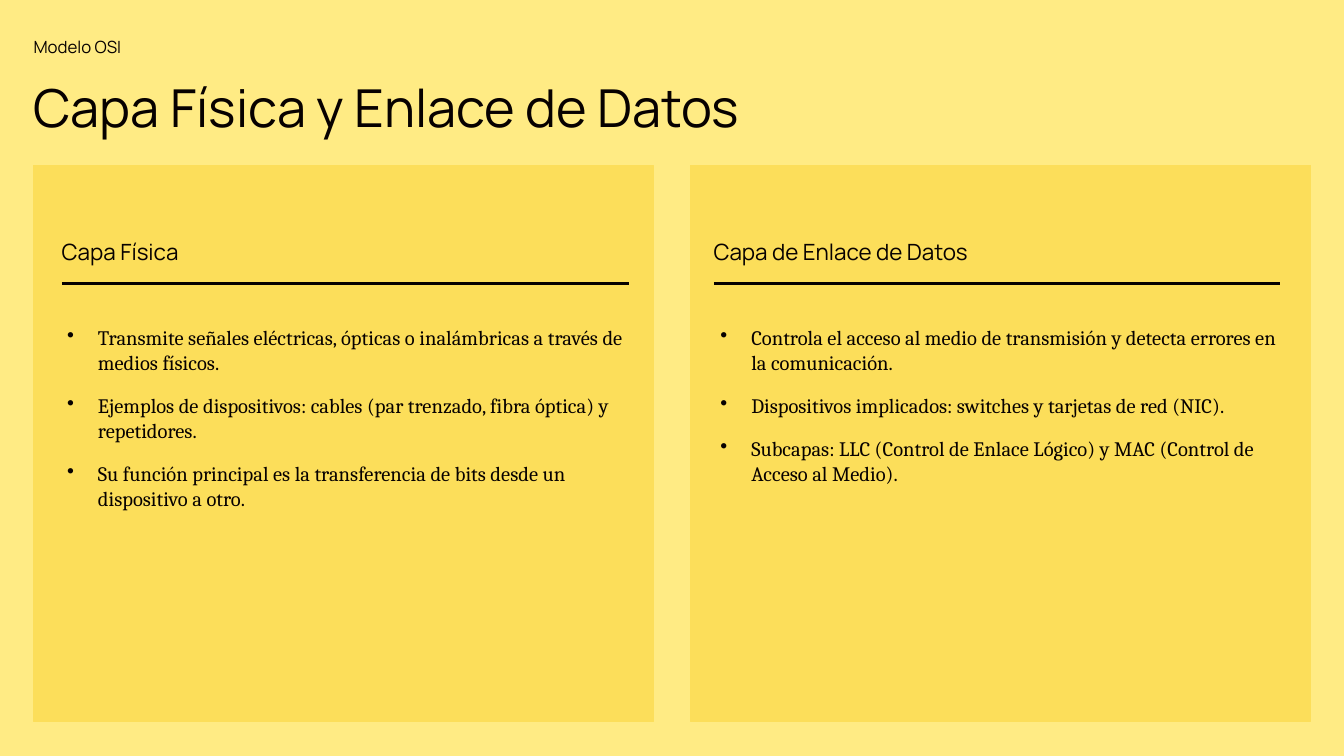
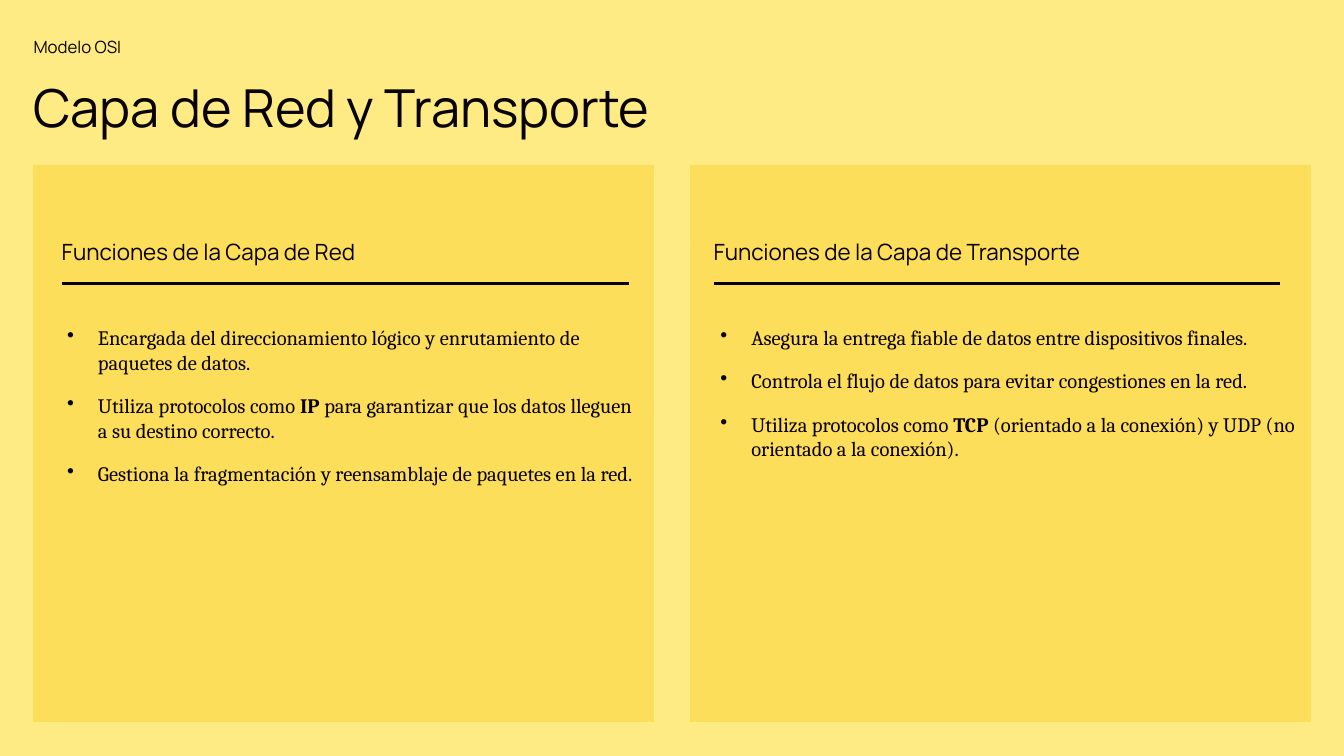
from lxml.etree import SubElement
from pptx import Presentation
from pptx.dml.color import RGBColor
from pptx.enum.shapes import MSO_CONNECTOR, MSO_SHAPE
from pptx.enum.text import MSO_ANCHOR, MSO_AUTO_SIZE, PP_ALIGN
from pptx.oxml.ns import qn
from pptx.util import Pt

# Content: each bullet is a list of (text, bold) spans
SECTION = "Modelo OSI"
SLIDES = [
    ("Capa Física y Enlace de Datos", [
        ("Capa Física", [
            [("Transmite señales eléctricas, ópticas o inalámbricas a través de medios físicos.", False)],
            [("Ejemplos de dispositivos: cables (par trenzado, fibra óptica) y repetidores.", False)],
            [("Su función principal es la transferencia de bits desde un dispositivo a otro.", False)],
        ]),
        ("Capa de Enlace de Datos", [
            [("Controla el acceso al medio de transmisión y detecta errores en la comunicación.", False)],
            [("Dispositivos implicados: switches y tarjetas de red (NIC).", False)],
            [("Subcapas: LLC (Control de Enlace Lógico) y MAC (Control de Acceso al Medio).", False)],
        ]),
    ]),
    ("Capa de Red y Transporte", [
        ("Funciones de la Capa de Red", [
            [("Encargada del direccionamiento lógico y enrutamiento de paquetes de datos.", False)],
            [("Utiliza protocolos como ", False), ("IP ", True),
             ("para garantizar que los datos lleguen a su destino correcto.", False)],
            [("Gestiona la fragmentación y reensamblaje de paquetes en la red.", False)],
        ]),
        ("Funciones de la Capa de Transporte", [
            [("Asegura la entrega fiable de datos entre dispositivos finales.", False)],
            [("Controla el flujo de datos para evitar congestiones en la red.", False)],
            [("Utiliza protocolos como ", False), ("TCP ", True),
             ("(orientado a la conexión) y UDP (no orientado a la conexión).", False)],
        ]),
    ]),
]

# Shared style
BACKGROUND = RGBColor(0xFF, 0xEB, 0x84)
PANEL = RGBColor(0xFC, 0xDE, 0x5A)
INK = RGBColor(0x07, 0x01, 0x00)
HEADING_FONT, BODY_FONT = "Manrope", "Cambria"
MARGIN, INSET = 18, 7.2
PANEL_TOP, PANEL_WIDTH, PANEL_HEIGHT = 88.5, 332, 298
RULE_TOP, RULE_WIDTH = 152, 303.5
HANG = 16.5

# Left edges of the parts in each column
COLUMNS = [
    {"panel": MARGIN, "heading": 26, "body": MARGIN},
    {"panel": 370, "heading": 375.2, "body": 368},
]


def set_frame(box, left_inset=INSET, anchor=MSO_ANCHOR.TOP):
    frame = box.text_frame
    frame.word_wrap = True
    frame.auto_size = MSO_AUTO_SIZE.NONE
    frame.vertical_anchor = anchor
    frame.margin_left = Pt(left_inset)
    frame.margin_top = frame.margin_right = frame.margin_bottom = Pt(INSET)
    return frame


def add_box(page, left, top, width, height, **options):
    box = page.shapes.add_textbox(Pt(left), Pt(top), Pt(width), Pt(height))
    return set_frame(box, **options)


def add_span(para, text, size, font=HEADING_FONT, bold=False):
    span = para.add_run()
    span.text = text
    span.font.name, span.font.size, span.font.bold = font, Pt(size), bold
    span.font.color.rgb = INK


def make_bullet(para):
    properties = para._p.get_or_add_pPr()
    properties.set("marL", str(Pt(27.4)))
    properties.set("indent", str(-Pt(HANG)))
    color = SubElement(properties, qn("a:buClr"))
    SubElement(color, qn("a:srgbClr"), val=str(INK))
    SubElement(properties, qn("a:buChar"), char="•")


def add_title(page, text):
    title = page.shapes.title
    title.left, title.top, title.width, title.height = Pt(MARGIN), Pt(41), Pt(683.5), Pt(45.4)
    frame = set_frame(title, left_inset=0)
    frame.margin_right = 0
    para = frame.paragraphs[0]
    para.alignment = PP_ALIGN.LEFT
    para.line_spacing = 0.75
    add_span(para, text, 28)


def add_panel(page, left):
    panel = page.shapes.add_shape(MSO_SHAPE.RECTANGLE, Pt(left), Pt(PANEL_TOP),
                                  Pt(PANEL_WIDTH), Pt(PANEL_HEIGHT))
    panel.shadow.inherit = False
    panel.fill.solid()
    panel.fill.fore_color.rgb = PANEL
    panel.line.color.rgb = PANEL
    panel.line.width = Pt(0.75)


def add_rule(page, left):
    rule = page.shapes.add_connector(MSO_CONNECTOR.STRAIGHT, Pt(left), Pt(RULE_TOP),
                                     Pt(left + RULE_WIDTH), Pt(RULE_TOP))
    rule.line.color.rgb = INK
    rule.line.width = Pt(1.5)
    SubElement(rule._element.spPr, qn("a:effectLst"))


def add_column(page, column, heading, bullets):
    add_panel(page, column["panel"])

    # Heading and the rule under it
    frame = add_box(page, column["heading"], 103.7, 325.4, 45.4, anchor=MSO_ANCHOR.BOTTOM)
    para = frame.paragraphs[0]
    para.line_spacing, para.space_after = 0.85, Pt(8)
    add_span(para, heading, 12)
    add_rule(page, column["heading"] + INSET)

    # Bullet list
    frame = add_box(page, column["body"], 167, 333.4, 220.3)
    for index, spans in enumerate(bullets):
        para = frame.add_paragraph() if index else frame.paragraphs[0]
        para.space_before = Pt(10 if index else 0)
        para.space_after = Pt(10 if index == len(bullets) - 1 else 0)
        make_bullet(para)
        for text, bold in spans:
            add_span(para, text, 11, BODY_FONT, bold)


def main():
    deck = Presentation()
    deck.slide_width, deck.slide_height = Pt(720), Pt(405)
    fill = deck.slide_master.background.fill
    fill.solid()
    fill.fore_color.rgb = BACKGROUND

    for title, columns in SLIDES:
        page = deck.slides.add_slide(deck.slide_layouts[5])
        add_title(page, title)
        label = add_box(page, MARGIN, 12.3, 333.4, 18.7, left_inset=0)
        add_span(label.paragraphs[0], SECTION, 9)
        for column, (heading, bullets) in zip(COLUMNS, columns):
            add_column(page, column, heading, bullets)

    deck.save("out.pptx")


if __name__ == "__main__":
    main()
